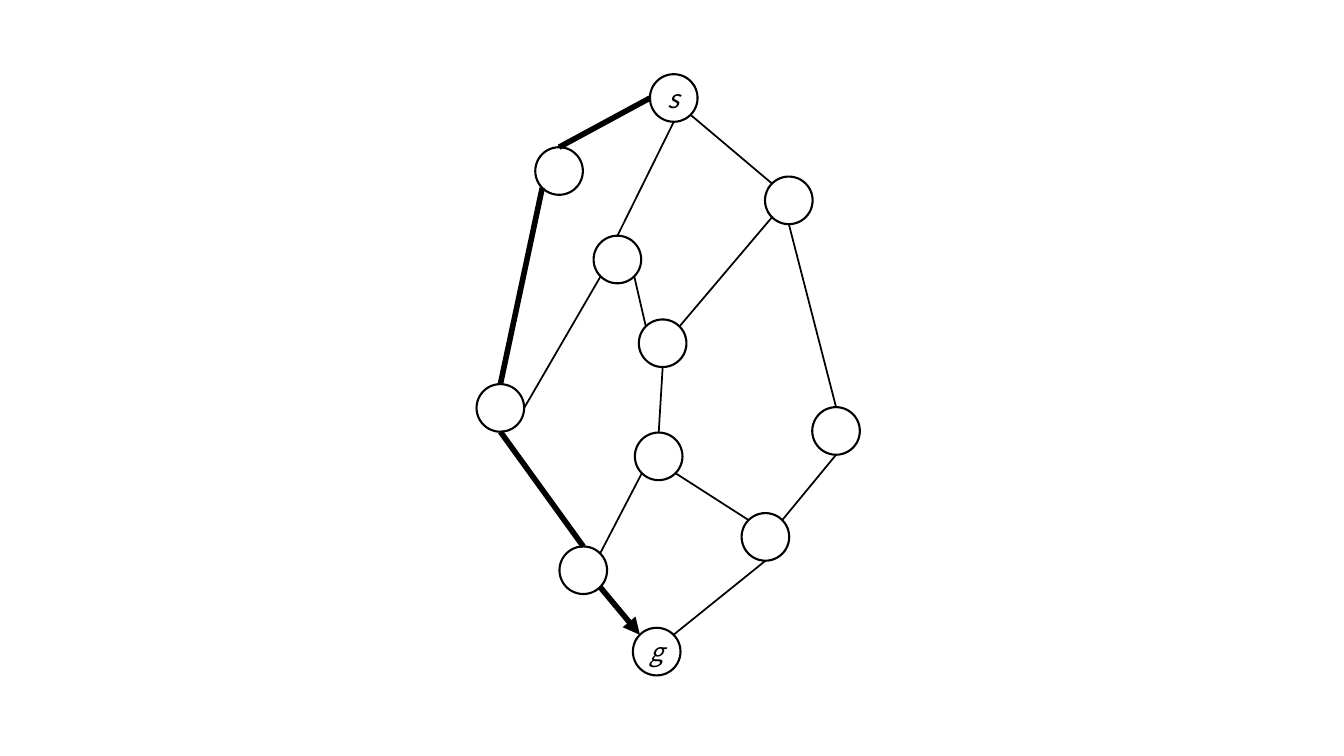
from math import sqrt

from pptx import Presentation
from pptx.dml.color import RGBColor
from pptx.enum.shapes import MSO_CONNECTOR, MSO_SHAPE
from pptx.enum.text import MSO_ANCHOR, PP_ALIGN
from pptx.oxml.ns import qn
from pptx.util import Cm, Pt

OVAL, LINE = MSO_SHAPE.OVAL, MSO_CONNECTOR.STRAIGHT
CENTER, MIDDLE = PP_ALIGN.CENTER, MSO_ANCHOR.MIDDLE
BLANK_LAYOUT = 6

COLORS = {"ink": "000000"}
FONT = "Noto Sans CJK JP"
DIAMETER = 1.2
THIN, OUTLINE, THICK = 1.25, 1.5, 4

# Connection sites on a node, as offsets in radii from its centre
DIAG = sqrt(0.5)
SITES = {
    "N": (0, -1), "NE": (DIAG, -DIAG), "E": (1, 0), "SE": (DIAG, DIAG),
    "S": (0, 1), "SW": (-DIAG, DIAG), "W": (-1, 0), "NW": (-DIAG, -DIAG),
}


def write(sp, text, size=18, color="ink", italic=False):
    tf = sp.text_frame
    tf.margin_left = tf.margin_right = tf.margin_top = tf.margin_bottom = 0
    tf.vertical_anchor = MIDDLE
    p = tf.paragraphs[0]
    p.alignment = CENTER
    r = p.add_run()
    r.text = text
    r.font.name = FONT
    r.font.size = Pt(size)
    r.font.italic = italic
    r.font.color.rgb = RGBColor.from_string(COLORS[color])


class GraphSlide:
    def __init__(self, prs):
        self.s = prs.slides.add_slide(prs.slide_layouts[BLANK_LAYOUT])
        self.centers = {}

    def stroke(self, sp, width):
        sp.line.color.rgb = RGBColor.from_string(COLORS["ink"])
        sp.line.width = Pt(width)

    def node(self, name, left, top, label=None):
        sp = self.s.shapes.add_shape(
            OVAL, Cm(left), Cm(top), Cm(DIAMETER), Cm(DIAMETER))
        sp.shadow.inherit = False
        sp.fill.background()
        self.stroke(sp, OUTLINE)
        if label:
            write(sp, label, italic=True)
        self.centers[name] = (left + DIAMETER / 2, top + DIAMETER / 2)

    def site(self, name, side):
        return [Cm(c + d * DIAMETER / 2)
                for c, d in zip(self.centers[name], SITES[side])]

    def edge(self, start, start_side, end, end_side, width=THIN, arrow=False):
        sp = self.s.shapes.add_connector(
            LINE, *self.site(start, start_side), *self.site(end, end_side))
        self.stroke(sp, width)
        if arrow:
            ln = sp.line._get_or_add_ln()
            ln.append(ln.makeelement(qn("a:tailEnd"), {"type": "triangle"}))
        spPr = sp._element.spPr
        spPr.append(spPr.makeelement(qn("a:effectLst"), {}))


prs = Presentation()
prs.slide_width, prs.slide_height = Cm(33.87), Cm(19.05)
graph = GraphSlide(prs)

# Nodes: name, left, top, label
NODES = [
    ("start", 16.38, 1.87, "s"),
    ("left 1", 13.49, 3.71, None),
    ("left 2", 12.01, 9.68, None),
    ("left 3", 14.1, 13.77, None),
    ("middle 1", 14.96, 5.94, None),
    ("middle 2", 16.1, 8.05, None),
    ("middle 3", 16, 10.9, None),
    ("right 1", 19.28, 4.45, None),
    ("right 2", 20.47, 10.26, None),
    ("right 3", 18.69, 12.93, None),
    ("goal", 15.95, 15.82, "g"),
]
for node in NODES:
    graph.node(*node)

# Plain edges
EDGES = [
    ("start", "S", "middle 1", "N"),
    ("start", "SE", "right 1", "NW"),
    ("middle 1", "SW", "left 2", "E"),
    ("middle 1", "SE", "middle 2", "NW"),
    ("right 1", "SW", "middle 2", "NE"),
    ("right 1", "S", "right 2", "N"),
    ("middle 2", "S", "middle 3", "N"),
    ("middle 3", "SW", "left 3", "NE"),
    ("middle 3", "SE", "right 3", "NW"),
    ("right 2", "S", "right 3", "NE"),
    ("right 3", "S", "goal", "NE"),
]
for edge in EDGES:
    graph.edge(*edge)

# Highlighted path from start to goal
PATH = [
    ("start", "W", "left 1", "N"),
    ("left 1", "SW", "left 2", "N"),
    ("left 2", "S", "left 3", "N"),
    ("left 3", "SE", "goal", "NW"),
]
for step in PATH:
    graph.edge(*step, width=THICK, arrow=step[2] == "goal")

prs.save("out.pptx")
